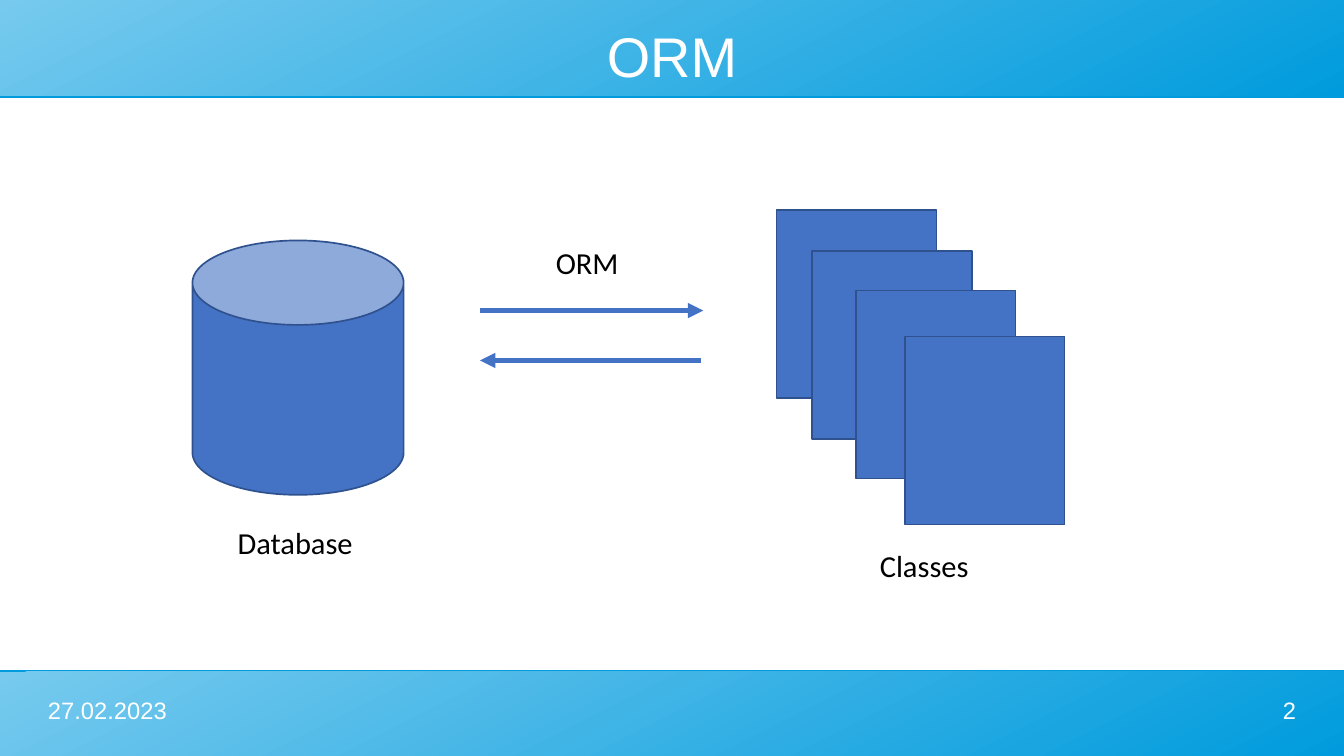
from lxml import etree
from pptx import Presentation
from pptx.dml.color import RGBColor
from pptx.enum import shapes, text
from pptx.oxml import parse_xml
from pptx.oxml.ns import nsdecls, qn
from pptx.util import Cm, Pt

LIGHT_BLUE = RGBColor(0x77, 0xCA, 0xEE)
DEEP_BLUE = RGBColor(0x00, 0x9B, 0xDD)
SHAPE_BLUE = RGBColor(0x44, 0x72, 0xC4)
OUTLINE_BLUE = RGBColor(0x2F, 0x52, 0x8F)
WHITE = RGBColor(0xFF, 0xFF, 0xFF)
BLACK = RGBColor(0x00, 0x00, 0x00)

SLIDE_WIDTH, SLIDE_HEIGHT = 28, 15.75
CLASS_CORNERS = [(16.18, 4.37), (16.92, 5.23), (17.83, 6.05), (18.85, 7.01)]


def format_text(shape, wording, font, size, color, alignment, margins=None):
    frame = shape.text_frame
    frame.text = wording
    if margins is not None:
        frame.margin_left = frame.margin_right = margins
        frame.margin_top = frame.margin_bottom = margins
    paragraph = frame.paragraphs[0]
    paragraph.alignment = alignment
    run_font = paragraph.runs[0].font
    run_font.name = font
    run_font.size = Pt(size)
    run_font.color.rgb = color


def add_band(slide, top, height, edge_angle):
    """Add a gradient band behind the title, with a thin edge made by a shadow."""
    band = slide.shapes.add_shape(shapes.MSO_SHAPE.RECTANGLE,
                                  0, Cm(top), Cm(SLIDE_WIDTH), Cm(height))
    band.fill.gradient()
    band.fill.gradient_angle = 297
    for stop, color in zip(band.fill.gradient_stops, (LIGHT_BLUE, DEEP_BLUE)):
        stop.color.rgb = color
    band.line.fill.background()
    band.element.spPr.append(parse_xml(
        f'<a:effectLst {nsdecls("a")}><a:outerShdw dist="11430" '
        f'dir="{edge_angle * 60000}" algn="ctr" rotWithShape="0">'
        f'<a:srgbClr val="{DEEP_BLUE}"/></a:outerShdw></a:effectLst>'))
    slide.shapes.title.element.addprevious(band.element)


def add_title(slide, wording):
    title = slide.shapes.title
    title.left, title.top = Cm(1), Cm(0.45)
    title.width, title.height = Cm(26), Cm(1.4)
    format_text(title, wording, "Arial", 33, WHITE, text.PP_ALIGN.CENTER, 0)
    title.text_frame.vertical_anchor = text.MSO_ANCHOR.MIDDLE


def add_footer_text(slide, wording, left, alignment):
    box = slide.shapes.add_textbox(Cm(left), Cm(14.5), Cm(6.5), Cm(1))
    box.text_frame.word_wrap = True
    format_text(box, wording, "Arial", 14, WHITE, alignment, 0)


def add_label(slide, wording, left, top, width):
    box = slide.shapes.add_textbox(Cm(left), Cm(top), Cm(width), Cm(1.03))
    box.text_frame.word_wrap = False
    format_text(box, wording, "Calibri", 18, BLACK, text.PP_ALIGN.LEFT)


def add_blue_shape(slide, kind, left, top, width, height):
    shape = slide.shapes.add_shape(kind, Cm(left), Cm(top), Cm(width), Cm(height))
    shape.shadow.inherit = False
    shape.fill.solid()
    shape.fill.fore_color.rgb = SHAPE_BLUE
    shape.line.color.rgb = OUTLINE_BLUE
    shape.line.width = Pt(1)
    return shape


def add_arrow(slide, start, end, height):
    arrow = slide.shapes.add_connector(shapes.MSO_CONNECTOR.STRAIGHT,
                                       Cm(start), Cm(height), Cm(end), Cm(height))
    arrow.line.color.rgb = SHAPE_BLUE
    arrow.line.width = Pt(3)
    etree.SubElement(arrow.line._get_or_add_ln(), qn("a:tailEnd"), type="triangle")
    etree.SubElement(arrow._element.spPr, qn("a:effectLst"))


def main():
    presentation = Presentation()
    presentation.slide_width = Cm(SLIDE_WIDTH)
    presentation.slide_height = Cm(SLIDE_HEIGHT)
    slide = presentation.slides.add_slide(presentation.slide_layouts[5])

    add_band(slide, 0, 2, edge_angle=90)
    add_band(slide, 14, 1.75, edge_angle=270)
    add_title(slide, "ORM")
    add_footer_text(slide, "27.02.2023", 1, text.PP_ALIGN.LEFT)
    add_footer_text(slide, "2", 20.5, text.PP_ALIGN.RIGHT)

    database = add_blue_shape(slide, shapes.MSO_SHAPE.CAN, 4.01, 5.01, 4.4, 5.3)
    database.adjustments[0] = 0.4
    for left, top in CLASS_CORNERS:
        add_blue_shape(slide, shapes.MSO_SHAPE.RECTANGLE, left, top, 3.33, 3.92)

    add_arrow(slide, 10, 14.65, 6.47)
    add_arrow(slide, 14.6, 10, 7.51)

    add_label(slide, "Database", 4.7, 10.8, 2.95)
    add_label(slide, "Classes", 18.08, 11.28, 2.39)
    add_label(slide, "ORM", 11.33, 4.95, 1.83)

    presentation.save("out.pptx")


if __name__ == "__main__":
    main()
